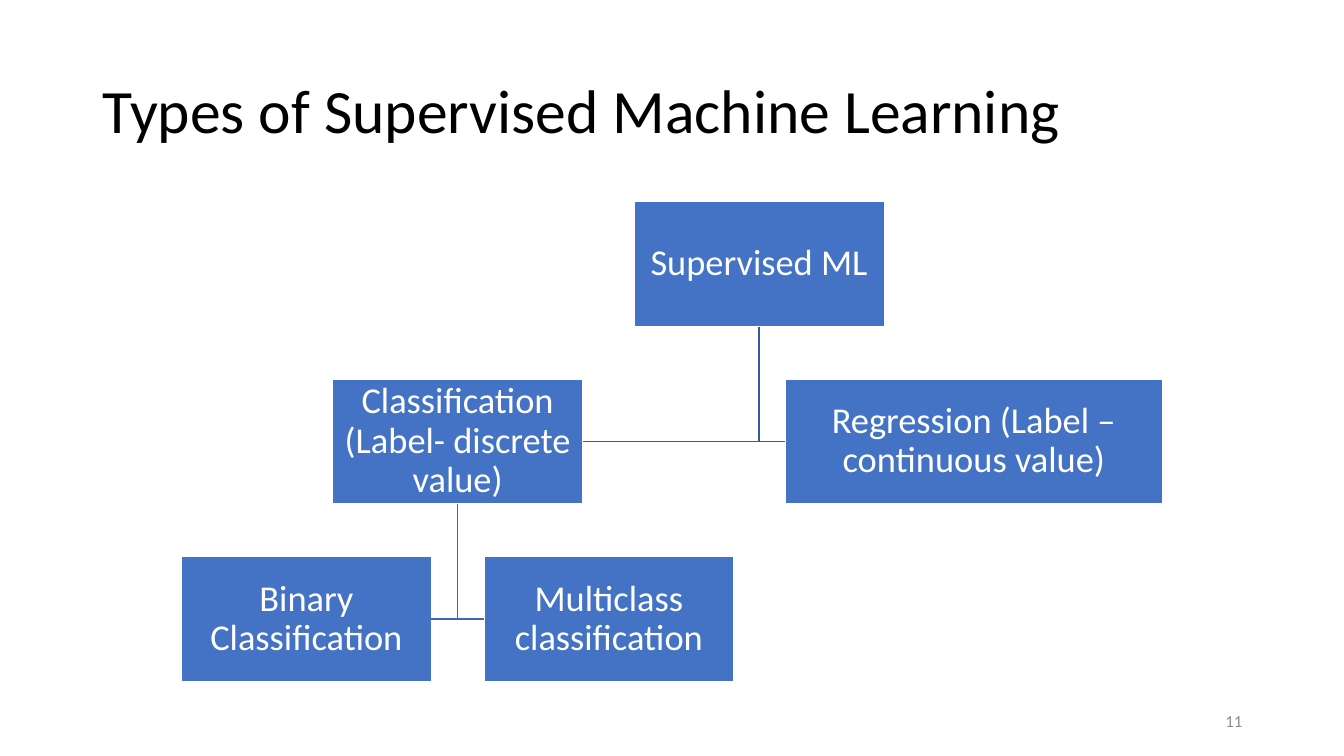
from pptx import Presentation
from pptx.dml.color import RGBColor
from pptx.enum.shapes import MSO_SHAPE
from pptx.enum.text import MSO_ANCHOR, PP_ALIGN
from pptx.util import Inches, Pt

RECTANGLE = MSO_SHAPE.RECTANGLE
MIDDLE = MSO_ANCHOR.MIDDLE
LEFT, CENTER, RIGHT = PP_ALIGN.LEFT, PP_ALIGN.CENTER, PP_ALIGN.RIGHT

BLACK = RGBColor(0x00, 0x00, 0x00)
WHITE = RGBColor(0xFF, 0xFF, 0xFF)
GRAY = RGBColor(0x8C, 0x8C, 0x8C)
BOX_BLUE = RGBColor(0x44, 0x72, 0xC4)
UPPER_BRANCH = RGBColor(0x36, 0x5B, 0x9D)
LOWER_BRANCH = RGBColor(0x3E, 0x67, 0xB2)

FONT = "Calibri"
BOX_WIDTH, BOX_HEIGHT = 2.48, 1.24
LEVEL_STEP = 1.76

# Node: label, left offset and level in the tree, width
NODES = {
    "root": ("Supervised ML", 4.49, 0, BOX_WIDTH),
    "classification": ("Classification (Label- discrete value)", 1.5, 1, BOX_WIDTH),
    "binary": ("Binary Classification", 0, 2, BOX_WIDTH),
    "multiclass": ("Multiclass classification", 3, 2, BOX_WIDTH),
    "regression": ("Regression (Label – continuous value)", 5.99, 1, 3.74),
}
BRANCHES = [
    ("root", "regression", UPPER_BRANCH),
    ("classification", "multiclass", LOWER_BRANCH),
    ("classification", "binary", LOWER_BRANCH),
    ("root", "classification", UPPER_BRANCH),
]


def write_text(shape, text, size, color, alignment, line_spacing=1.0):
    frame = shape.text_frame
    frame.text = text
    frame.word_wrap = True
    frame.vertical_anchor = MIDDLE
    paragraph = frame.paragraphs[0]
    paragraph.alignment = alignment
    paragraph.line_spacing = line_spacing
    font = paragraph.font
    font.name, font.size, font.color.rgb = FONT, Pt(size), color


def add_title(slide, left, top, width, height):
    title = slide.shapes.title
    title.left, title.top = Inches(left), Inches(top)
    title.width, title.height = Inches(width), Inches(height)
    write_text(title, "Types of Supervised Machine Learning", 44, BLACK, LEFT, 0.9)


def add_node(slide, label, left, top, width):
    box = slide.shapes.add_shape(
        RECTANGLE, Inches(left), Inches(top), Inches(width), Inches(BOX_HEIGHT))
    box.shadow.inherit = False
    box.fill.solid()
    box.fill.fore_color.rgb = BOX_BLUE
    box.line.color.rgb = WHITE
    box.line.width = Pt(1)
    frame = box.text_frame
    frame.margin_left = frame.margin_right = Inches(0.02)
    frame.margin_top = frame.margin_bottom = Inches(0.02)
    write_text(box, label, 26, WHITE, CENTER, 0.9)
    return box


def add_branch(slide, parent, child, color):
    """Run down from the parent, then across to the nearer side of the child."""
    start_x = parent.left + parent.width // 2
    start_y = parent.top + parent.height
    end_x = child.left if child.left > start_x else child.left + child.width
    end_y = child.top + child.height // 2
    builder = slide.shapes.build_freeform(start_x, start_y)
    builder.add_line_segments([(start_x, end_y), (end_x, end_y)], close=False)
    branch = builder.convert_to_shape()
    branch.shadow.inherit = False
    branch.fill.background()
    branch.line.color.rgb = color
    branch.line.width = Pt(1)


def add_tree(slide, left, top):
    boxes = {
        name: add_node(slide, label, left + offset, top + level * LEVEL_STEP, width)
        for name, (label, offset, level, width) in NODES.items()
    }
    for parent, child, color in BRANCHES:
        add_branch(slide, boxes[parent], boxes[child], color)


def add_slide_number(slide, left, top, width, height):
    number = slide.shapes.add_textbox(
        Inches(left), Inches(top), Inches(width), Inches(height))
    write_text(number, "11", 12, GRAY, RIGHT)


def main():
    presentation = Presentation()
    presentation.slide_width = Inches(13.33)
    presentation.slide_height = Inches(7.5)
    title_only = presentation.slide_layouts[5]
    slide = presentation.slides.add_slide(title_only)
    add_title(slide, 0.92, 0.4, 11.5, 1.45)
    add_tree(slide, 1.8, 2)
    add_slide_number(slide, 9.42, 6.95, 3, 0.4)
    presentation.save("out.pptx")


if __name__ == "__main__":
    main()
